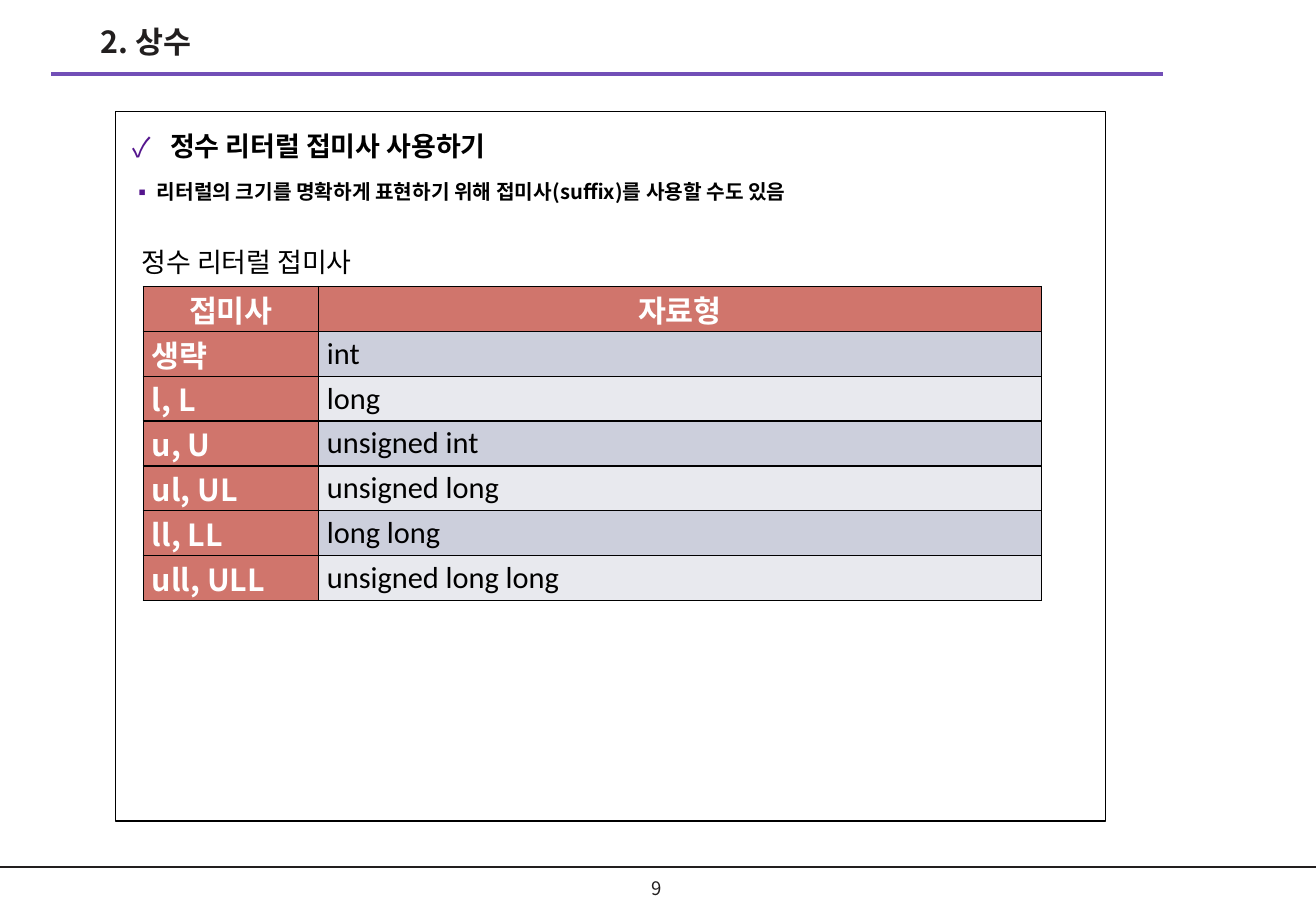
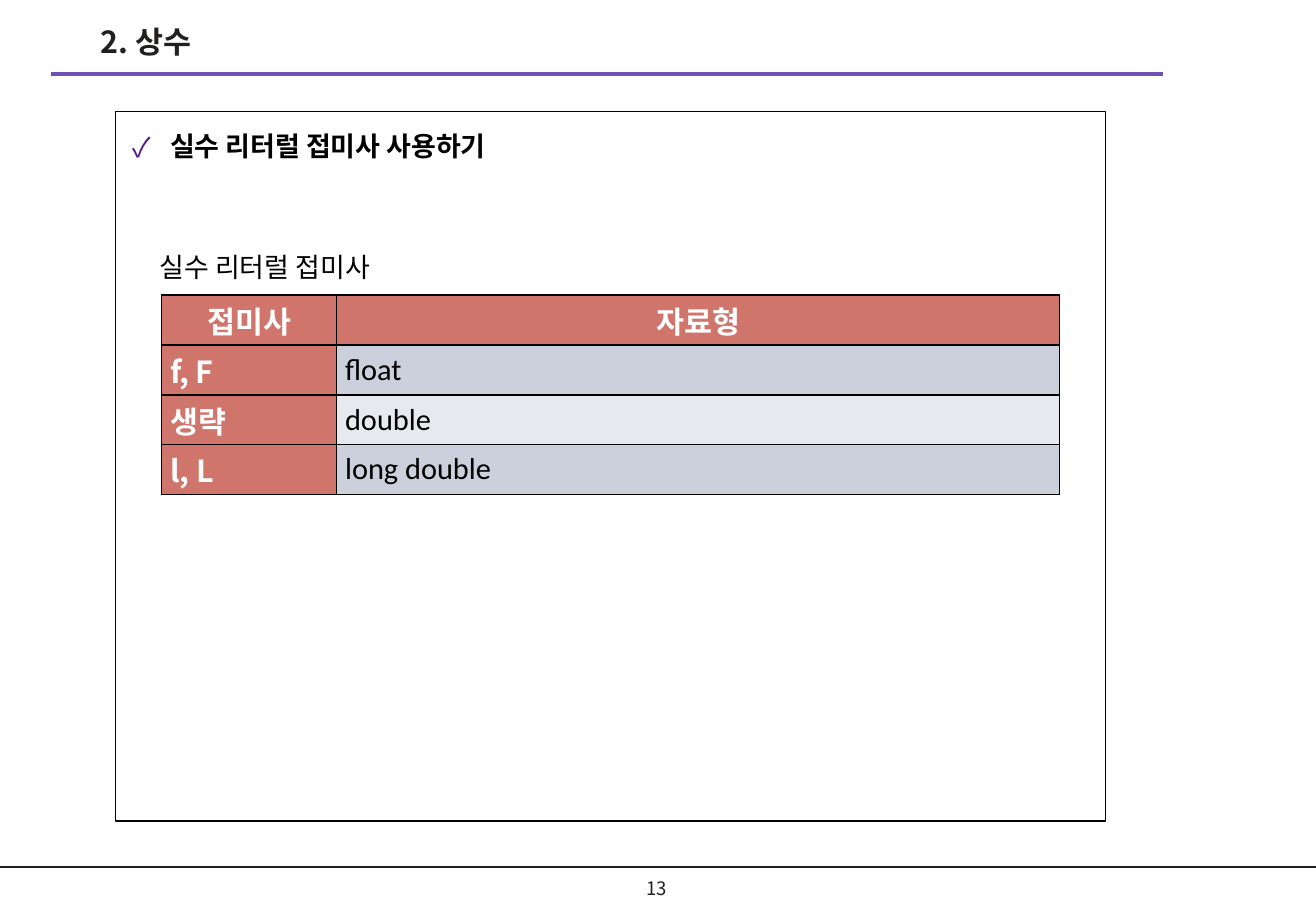
from dataclasses import dataclass

from lxml.etree import SubElement
from pptx import Presentation
from pptx.dml.color import RGBColor
from pptx.enum.shapes import MSO_CONNECTOR
from pptx.enum.text import MSO_ANCHOR, MSO_AUTO_SIZE, PP_ALIGN
from pptx.oxml.ns import qn
from pptx.util import Inches, Pt

WIDTH, HEIGHT = Inches(10.83), Inches(7.5)


@dataclass(frozen=True)
class Theme:
    font: str = "Noto Sans CJK KR"
    code_font: str = "Calibri"
    ink: str = "221F1F"
    black: str = "000000"
    white: str = "FFFFFF"
    rule: str = "724FB7"
    bullet: str = "54158D"
    header: str = "D0756C"
    bands: tuple = ("CCCFDC", "E8E9EE")
    title_size: int = 18
    heading_size: int = 16
    point_size: int = 12
    number_size: int = 11


THEME = Theme()


def across(percent):
    return round(WIDTH * percent / 100)


def down(percent):
    return round(HEIGHT * percent / 100)


def area(left, top, width, height):
    """Turn percentages of the slide into a left, top, width, height tuple."""
    return across(left), down(top), across(width), down(height)


def place(shape, box):
    shape.left, shape.top, shape.width, shape.height = box


def set_margins(target, horizontal, vertical):
    target.margin_left = target.margin_right = horizontal
    target.margin_top = target.margin_bottom = vertical


def space_before_percent(para, percent):
    para.space_before = Pt(0)
    spacing = para._p.pPr.find(qn("a:spcBef"))
    spacing.remove(spacing[0])
    SubElement(spacing, qn("a:spcPct"), val=str(percent * 1000))


def add_bullet(para, mark, indent):
    properties = para._p.get_or_add_pPr()
    properties.set("marL", str(indent))
    properties.set("indent", str(-indent))
    color = SubElement(properties, qn("a:buClr"))
    SubElement(color, qn("a:srgbClr"), val=THEME.bullet)
    SubElement(properties, qn("a:buFont"), typeface=THEME.font)
    SubElement(properties, qn("a:buChar"), char=mark)


def write(frame, text, size=THEME.title_size, color=THEME.black, font=THEME.font,
          bold=False, align=PP_ALIGN.LEFT, line_spacing=None, before=None,
          after=None, bullet=None, indent=0):
    """Add one paragraph, using the empty first one when there is one."""
    para = frame.paragraphs[0]
    if para.runs:
        para = frame.add_paragraph()
    para.alignment = align
    if line_spacing:
        para.line_spacing = line_spacing
    if before:
        space_before_percent(para, before)
    if after:
        para.space_after = Pt(after)
    if bullet:
        add_bullet(para, bullet, indent)
    span = para.add_run()
    span.text = text
    span.font.size = Pt(size)
    span.font.bold = bold
    span.font.color.rgb = RGBColor.from_string(color)
    span.font.name = font
    SubElement(span.font._element, qn("a:ea"), typeface=font)


def add_text(page, box, text, anchor=MSO_ANCHOR.TOP, **style):
    frame = page.shapes.add_textbox(*box).text_frame
    frame.word_wrap = True
    frame.vertical_anchor = anchor
    write(frame, text, **style)


def add_rule(page, start, end, top, color, weight):
    rule = page.shapes.add_connector(
        MSO_CONNECTOR.STRAIGHT, across(start), down(top), across(end), down(top))
    rule.line.color.rgb = RGBColor.from_string(color)
    rule.line.width = Pt(weight)
    SubElement(rule.element.spPr, qn("a:effectLst"))
    return rule


def prepare_layout(layout):
    """Place title and body, and drop the unused footer placeholders."""
    for holder in list(layout.placeholders):
        if holder.placeholder_format.idx >= 10:
            layout.shapes.element.remove(holder.element)
    title, body = layout.placeholders
    place(title, area(6.74, 1.87, 51.25, 6.4))
    place(body, area(8.77, 12.27, 75.25, 77.87))


def add_layout_rules(layout, page):
    """Draw the rules on a page, then hand them to the layout that all pages share."""
    for rule in (add_rule(page, 0, 100, 95.2, THEME.ink, 1),
                 add_rule(page, 3.88, 88.37, 8.13, THEME.rule, 2.25)):
        layout.shapes.element.append(rule.element)


def add_page(deck, layout, number, heading, points=()):
    page = deck.slides.add_slide(layout)
    title, body = page.placeholders
    for holder in (title, body):
        holder.text_frame.auto_size = MSO_AUTO_SIZE.NONE
        holder.text_frame.vertical_anchor = MSO_ANCHOR.TOP
    write(title.text_frame, "2. 상수", color=THEME.ink, bold=True)

    body.line.color.rgb = RGBColor.from_string(THEME.black)
    body.line.width = Pt(0.75)
    set_margins(body.text_frame, across(1.3), down(0.93))
    style = dict(bold=True, line_spacing=1.3, before=50)
    write(body.text_frame, heading, size=THEME.heading_size,
          bullet="✓", indent=across(2.86), **style)
    for point in points:
        write(body.text_frame, point, size=THEME.point_size,
              bullet="▪", indent=across(1.85), **style)

    add_text(page, area(47.09, 95.33, 5.63, 4.4), str(number), MSO_ANCHOR.MIDDLE,
             size=THEME.number_size, color=THEME.ink, align=PP_ALIGN.CENTER)
    return page


def add_borders(cell):
    properties = cell._tc.get_or_add_tcPr()
    for position, side in enumerate("LRTB"):
        border = SubElement(properties, qn(f"a:ln{side}"), w=str(Pt(1)))
        fill = SubElement(border, qn("a:solidFill"))
        SubElement(fill, qn("a:srgbClr"), val=THEME.black)
        properties.insert(position, border)


def fill_cell(cell, text, fill, **style):
    cell.fill.solid()
    cell.fill.fore_color.rgb = RGBColor.from_string(fill)
    cell.vertical_anchor = MSO_ANCHOR.MIDDLE
    set_margins(cell, Inches(0.07), 0)
    write(cell.text_frame, text, before=20, after=1.2, **style)
    add_borders(cell)


def add_suffix_table(page, caption, rows, left, caption_top, top, row_height):
    """Add a caption and a table of suffixes with the types they stand for."""
    add_text(page, area(left - 1.05, caption_top, 76.64, 5.87), caption,
             size=THEME.heading_size)
    widths = 13.3, 54.94
    rows = [("접미사", "자료형"), *rows]
    table = page.shapes.add_table(
        len(rows), len(widths),
        *area(left, top, sum(widths), row_height * len(rows))).table
    table.horz_banding = False
    for column, width in zip(table.columns, widths):
        column.width = across(width)
    head = dict(fill=THEME.header, color=THEME.white, bold=True)
    for index, texts in enumerate(rows):
        table.rows[index].height = down(row_height)
        align = PP_ALIGN.JUSTIFY if index else PP_ALIGN.CENTER
        band = dict(fill=THEME.bands[(index - 1) % 2], font=THEME.code_font)
        styles = (head, band if index else head)
        for column, (text, style) in enumerate(zip(texts, styles)):
            fill_cell(table.cell(index, column), text, align=align, **style)


def main():
    deck = Presentation()
    deck.slide_width, deck.slide_height = WIDTH, HEIGHT
    layout = deck.slide_layouts[1]
    prepare_layout(layout)

    integers = add_page(
        deck, layout, 9, "정수 리터럴 접미사 사용하기",
        ["리터럴의 크기를 명확하게 표현하기 위해 접미사(suffix)를 사용할 수도 있음"])
    add_layout_rules(layout, integers)
    add_suffix_table(
        integers, "정수 리터럴 접미사",
        [("생략", "int"), ("l, L", "long"), ("u, U", "unsigned int"),
         ("ul, UL", "unsigned long"), ("ll, LL", "long long"),
         ("ull, ULL", "unsigned long long")],
        left=10.9, caption_top=26.27, top=31.47, row_height=4.92)

    reals = add_page(deck, layout, 13, "실수 리터럴 접미사 사용하기")
    add_suffix_table(
        reals, "실수 리터럴 접미사",
        [("f, F", "float"), ("생략", "double"), ("l, L", "long double")],
        left=12.28, caption_top=26.8, top=32.4, row_height=5.47)

    deck.save("out.pptx")


if __name__ == "__main__":
    main()
